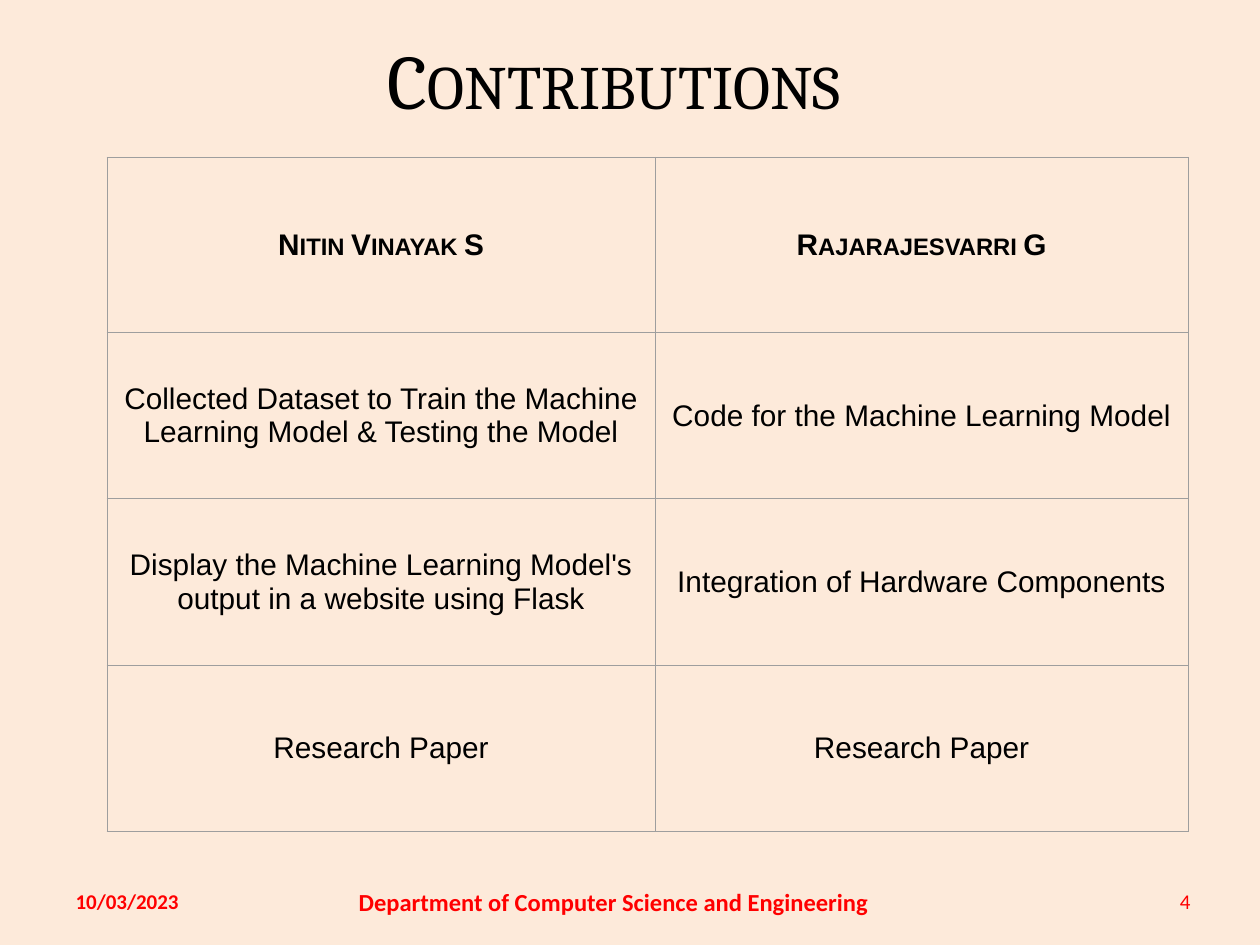
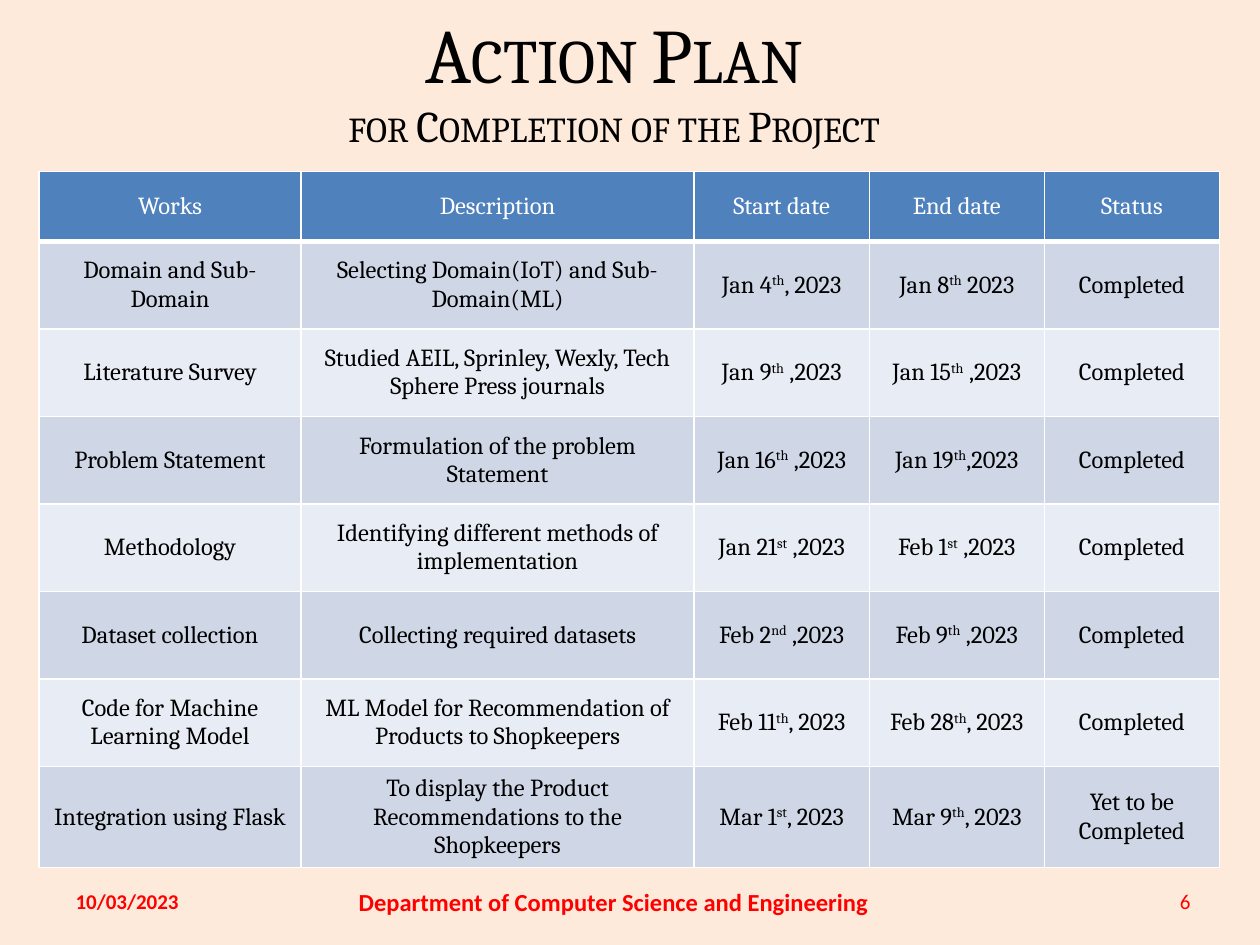
from dataclasses import dataclass

from lxml import etree
from pptx import Presentation
from pptx.dml.color import RGBColor
from pptx.enum.text import MSO_ANCHOR, MSO_AUTO_SIZE, PP_ALIGN
from pptx.oxml.ns import qn
from pptx.util import Inches, Pt

LEFT, CENTER, RIGHT = PP_ALIGN.LEFT, PP_ALIGN.CENTER, PP_ALIGN.RIGHT
MIDDLE = MSO_ANCHOR.MIDDLE
FIXED, GROW = MSO_AUTO_SIZE.NONE, MSO_AUTO_SIZE.SHAPE_TO_FIT_TEXT
TITLE_ONLY = 5
PLAIN_TABLE = "{2D5ABB26-0587-4C30-8999-92F81FD0307C}"

SLIDE_WIDTH, SLIDE_HEIGHT = Inches(10), Inches(7.5)
COLUMN, ROW = SLIDE_WIDTH // 100, SLIDE_HEIGHT // 75
INSET = COLUMN // 2


@dataclass(frozen=True)
class Theme:
    paper: str = "FDEADA"
    ink: str = "000000"
    footer: str = "FF0000"
    grid_line: str = "9E9E9E"
    white: str = "FFFFFF"
    header: str = "4F81BD"
    bands: tuple = ("CFD7E7", "E8ECF4")
    title_size: int = 44
    subtitle_size: int = 25
    share_size: int = 17
    plan_size: int = 14
    department_size: int = 14
    small_size: int = 12


THEME = Theme()


def area(left, top, width, height):
    """Turn grid columns and rows into slide lengths."""
    return int(left * COLUMN), int(top * ROW), int(width * COLUMN), int(height * ROW)


def write(frame, lines, font, size, color, bold=False, align=CENTER, caps="none"):
    """Fill a text frame; text between ^ marks is raised."""
    frame.text = "\n".join(line.replace("^", "") for line in lines)
    for para, line in zip(frame.paragraphs, lines):
        para.clear()
        para.alignment = align
        for index, part in enumerate(line.split("^")):
            span = para.add_run()
            span.text = part
            look = {"name": font, "size": Pt(size), "bold": bold}
            for name, value in look.items():
                setattr(span.font, name, value)
            span.font.color.rgb = RGBColor.from_string(color)
            properties = span._r.get_or_add_rPr()
            properties.set("cap", caps)
            if index % 2:
                properties.set("baseline", "30000")


CONTRIBUTIONS = [
    ("Nitin Vinayak S", "Rajarajesvarri G"),
    ("Collected Dataset to Train the Machine Learning Model & Testing the Model",
     "Code for the Machine Learning Model"),
    ("Display the Machine Learning Model's output in a website using Flask",
     "Integration of Hardware Components"),
    ("Research Paper", "Research Paper"),
]
ACTION_PLAN = [
    ("Works", "Description", "Start date", "End date", "Status"),
    ("Domain and Sub-Domain", "Selecting Domain(IoT) and Sub-Domain(ML)",
     "Jan 4^th^, 2023", "Jan 8^th^ 2023", "Completed"),
    ("Literature Survey", "Studied AEIL, Sprinley, Wexly, Tech Sphere Press journals",
     "Jan 9^th^ ,2023", "Jan 15^th^ ,2023", "Completed"),
    ("Problem Statement", "Formulation of the problem Statement",
     "Jan 16^th^ ,2023", "Jan 19^th^,2023", "Completed"),
    ("Methodology", "Identifying different methods of implementation",
     "Jan 21^st^ ,2023", "Feb 1^st^ ,2023", "Completed"),
    ("Dataset collection", "Collecting required datasets",
     "Feb 2^nd^ ,2023", "Feb 9^th^ ,2023", "Completed"),
    ("Code for Machine Learning Model",
     "ML Model for Recommendation of Products to Shopkeepers",
     "Feb 11^th^, 2023", "Feb 28^th^, 2023", "Completed"),
    ("Integration using Flask",
     "To display the Product Recommendations to the Shopkeepers",
     "Mar 1^st^, 2023", "Mar 9^th^, 2023", "Yet to be Completed"),
]

PAGES = [
    {"number": "4", "title": ["Contributions"], "rows": CONTRIBUTIONS,
     "corner": (8.5, 12.5), "widths": (43.5, 42.3), "heights": (13.9, 13.2),
     "inset": 0, "line": (THEME.grid_line, 0.75, 0.75), "fills": None,
     "head": {"font": "Arial", "size": THEME.share_size, "color": THEME.ink,
              "bold": True, "caps": "small"},
     "body": {"font": "Arial", "size": THEME.share_size, "color": THEME.ink}},
    {"number": "6", "title": ["Action Plan", "for Completion of the Project"],
     "rows": ACTION_PLAN,
     "corner": (3.1, 13.6), "widths": (20.8, 31.2, 13.9, 13.9, 13.9),
     "heights": (5.55, 6.95), "inset": INSET, "line": (THEME.white, 1, 3),
     "fills": (THEME.header, THEME.bands),
     "head": {"font": "Cambria", "size": THEME.plan_size, "color": THEME.white},
     "body": {"font": "Cambria", "size": THEME.plan_size, "color": THEME.ink}},
]

deck = Presentation()
deck.slide_width, deck.slide_height = SLIDE_WIDTH, SLIDE_HEIGHT
backdrop = deck.slide_master.background.fill
backdrop.solid()
backdrop.fore_color.rgb = RGBColor.from_string(THEME.paper)

for content in PAGES:
    page = deck.slides.add_slide(deck.slide_layouts[TITLE_ONLY])

    # Title
    title = page.shapes.title
    title.left, title.top, title.width, title.height = area(2.2, 0, 93.1, 12.5)
    write(title.text_frame, content["title"], "Cambria", THEME.title_size,
          THEME.ink, caps="small")
    for para in title.text_frame.paragraphs[1:]:
        para.runs[0].font.size = Pt(THEME.subtitle_size)
    frames = [(title.text_frame, FIXED, True)]

    # Footer
    footers = [
        ("Department of Computer Science and Engineering", (26.3, 70, 44.8, 3.1),
         THEME.department_size, True, CENTER, True),
        ("10/03/2023", (5.5, 70.2, 22.3, 2.7), THEME.small_size, True, LEFT, True),
        (content["number"], (93, 70.2, 2, 2.7), THEME.small_size, False, RIGHT, False),
    ]
    for text, place, size, bold, align, wrap in footers:
        box = page.shapes.add_textbox(*area(*place))
        write(box.text_frame, [text], "Calibri", size, THEME.footer, bold, align)
        frames.append((box.text_frame, GROW, wrap))
    for frame, fit, wrap in frames:
        layout = {"auto_size": fit, "word_wrap": wrap, "vertical_anchor": MIDDLE,
                  "margin_left": INSET, "margin_right": INSET,
                  "margin_top": INSET, "margin_bottom": INSET}
        for name, value in layout.items():
            setattr(frame, name, value)

    # Table
    rows, widths = content["rows"], content["widths"]
    head_height, body_height = content["heights"]
    total_height = head_height + body_height * (len(rows) - 1)
    place = area(*content["corner"], sum(widths), total_height)
    table = page.shapes.add_table(len(rows), len(widths), *place).table
    table._tbl.tblPr.find(qn("a:tableStyleId")).text = PLAIN_TABLE
    table.horz_banding = False
    for column, width in zip(table.columns, widths):
        column.width = int(width * COLUMN)
    line_color, thin, thick = content["line"]
    for row_index, texts in enumerate(rows):
        is_head = row_index == 0
        table.rows[row_index].height = int((head_height if is_head else body_height) * ROW)
        for column_index, text in enumerate(texts):
            cell = table.cell(row_index, column_index)
            write(cell.text_frame, [text], **content["head" if is_head else "body"])
            cell.vertical_anchor = MIDDLE
            for side in ("left", "right", "top", "bottom"):
                setattr(cell, f"margin_{side}", content["inset"])
            if content["fills"]:
                header, bands = content["fills"]
                cell.fill.solid()
                cell.fill.fore_color.rgb = RGBColor.from_string(
                    header if is_head else bands[(row_index - 1) % 2])
            else:
                cell.fill.background()
            borders = {"lnL": thin, "lnR": thin,
                       "lnT": thick if row_index == 1 else thin,
                       "lnB": thick if is_head else thin}
            properties = cell._tc.get_or_add_tcPr()
            for position, (tag, weight) in enumerate(borders.items()):
                line = etree.Element(qn(f"a:{tag}"), w=str(Pt(weight)))
                fill = etree.SubElement(line, qn("a:solidFill"))
                etree.SubElement(fill, qn("a:srgbClr"), val=line_color)
                properties.insert(position, line)

deck.save("out.pptx")
